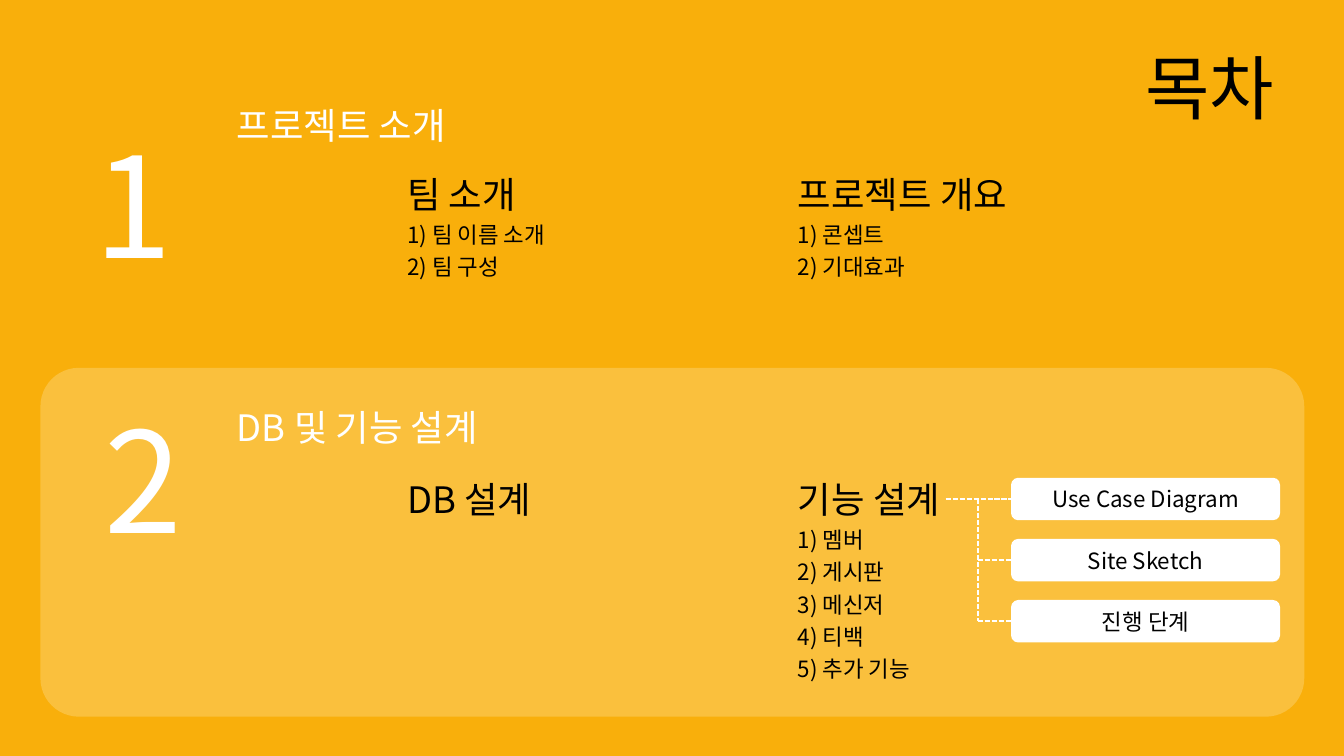
"""Build the table-of-contents slide with two numbered sections."""
from lxml import etree
from pptx import Presentation
from pptx.dml.color import RGBColor
from pptx.enum.dml import MSO_LINE_DASH_STYLE as DASH
from pptx.enum.shapes import MSO_CONNECTOR, MSO_SHAPE
from pptx.enum.text import MSO_ANCHOR, MSO_AUTO_SIZE, PP_ALIGN
from pptx.oxml.ns import qn
from pptx.util import Cm, Pt

FONT = "Noto Sans CJK KR"
COLORS = {"back": "F9AF0B", "panel": "FAC03D", "white": "FFFFFF", "black": "000000"}
C = {name: RGBColor.from_string(value) for name, value in COLORS.items()}

prs = Presentation()
prs.slide_width, prs.slide_height = Cm(33.87), Cm(19.05)
s = prs.slides.add_slide(prs.slide_layouts[6])


def add_box(kind, left, top, width, height, color):
    sp = s.shapes.add_shape(kind, Cm(left), Cm(top), Cm(width), Cm(height))
    sp.shadow.inherit = False
    sp.fill.solid()
    sp.fill.fore_color.rgb = C[color]
    sp.line.fill.background()
    return sp


def write(tf, lines, sizes, color, align=PP_ALIGN.LEFT, spacing=None):
    tf.text = "\n".join(lines)
    for i, p in enumerate(tf.paragraphs):
        p.alignment = align
        p.line_spacing = spacing
        for r in p.runs:
            r.font.size = Pt(sizes[min(i, len(sizes) - 1)])
            r.font.name = FONT
            r.font.color.rgb = C[color]
            etree.SubElement(r.font._element, qn("a:ea")).set("typeface", FONT)


add_box(MSO_SHAPE.RECTANGLE, 0, 0, 33.87, 19.05, "back")
panel = add_box(MSO_SHAPE.ROUNDED_RECTANGLE, 1.02, 9.27, 31.85, 8.79, "panel")
panel.adjustments[0] = 0.11

for text, left, top, height, size, color in [
    ("목차", 28.14, 0.99, 2.39, 50, "black"),
    ("1", 1.02, 2.87, 4.52, 100, "white"),
    ("2", 1.27, 9.78, 4.52, 100, "white"),
]:
    tf = s.shapes.add_textbox(Cm(left), Cm(top), Cm(4.7), Cm(height)).text_frame
    tf.word_wrap = True
    tf.auto_size = MSO_AUTO_SIZE.SHAPE_TO_FIT_TEXT
    write(tf, [text], [size], color, PP_ALIGN.CENTER)

for lines, left, top, width, height, color, hanging in [
    (["프로젝트 소개"], 5.72, 2.26, 6.07, 1.47, "white", 0),
    (["팀 소개", "1) 팀 이름 소개", "2) 팀 구성"], 10.01, 3.99, 4.32, 3.18, "black", 0),
    (["프로젝트 개요", "1) 콘셉트", "2) 기대효과"], 19.86, 3.99, 6.07, 3.18, "black", 0.97),
    (["DB 및 기능 설계"], 5.72, 9.86, 7.06, 1.47, "white", 0),
    (["DB 설계"], 10.01, 11.68, 3.86, 1.47, "black", 0),
    (["기능 설계", "1) 멤버", "2) 게시판", "3) 메신저", "4) 티백", "5) 추가 기능"],
     19.86, 11.68, 4.32, 5.61, "black", 0),
]:
    tf = s.shapes.add_textbox(Cm(left), Cm(top), Cm(width), Cm(height)).text_frame
    tf.word_wrap = False
    tf.auto_size = MSO_AUTO_SIZE.SHAPE_TO_FIT_TEXT
    write(tf, lines, [26, 16], color, spacing=1.2)
    if hanging:
        for p in tf.paragraphs[1:]:
            pPr = p._p.get_or_add_pPr()
            pPr.set("marL", str(Cm(hanging)))
            pPr.set("indent", str(-Cm(hanging)))

steps = []
for i, label in enumerate(["Use Case Diagram", "Site Sketch", "진행 단계"]):
    step = add_box(MSO_SHAPE.ROUNDED_RECTANGLE, 25.48, 12.04 + 1.54 * i, 6.78, 1.07, "white")
    step.text_frame.vertical_anchor = MSO_ANCHOR.MIDDLE
    write(step.text_frame, [label], [16], "black", PP_ALIGN.CENTER)
    steps.append(step)

trunk_x = Cm(24.64)
middles = [step.top + step.height // 2 for step in steps]
lines = [s.shapes.add_connector(MSO_CONNECTOR.STRAIGHT, trunk_x, middles[0], trunk_x, middles[-1])]
for step, start_x, y in zip(steps, [Cm(23.83), trunk_x, trunk_x], middles):
    branch = s.shapes.add_connector(MSO_CONNECTOR.STRAIGHT, start_x, y, step.left, y)
    branch.end_connect(step, 1)
    lines.append(branch)
for line in lines:
    line.line.color.rgb = C["white"]
    line.line.width = Pt(1.25)
    line.line.dash_style = DASH.SQUARE_DOT
    etree.SubElement(line._element.spPr, qn("a:effectLst"))

prs.save("out.pptx")
